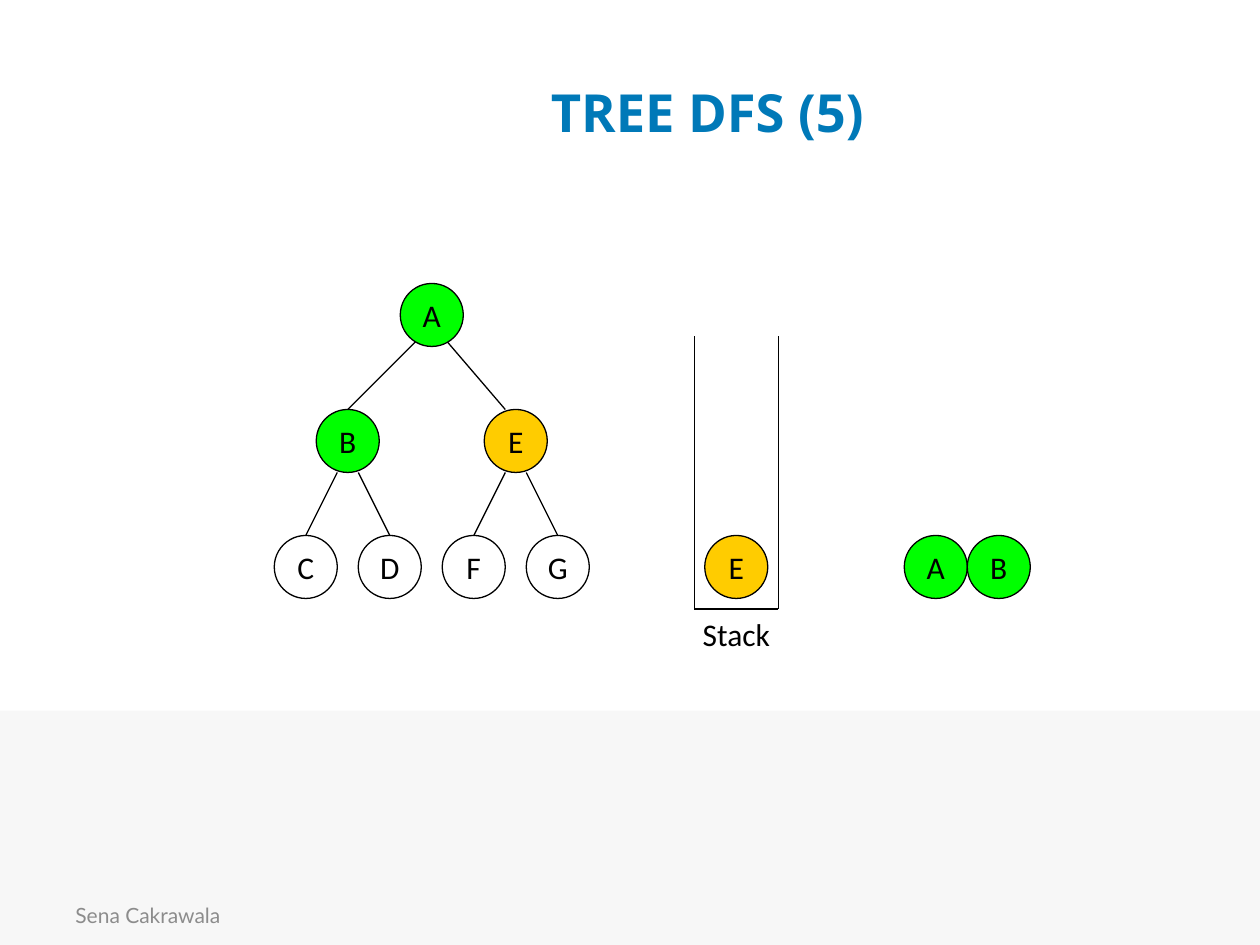
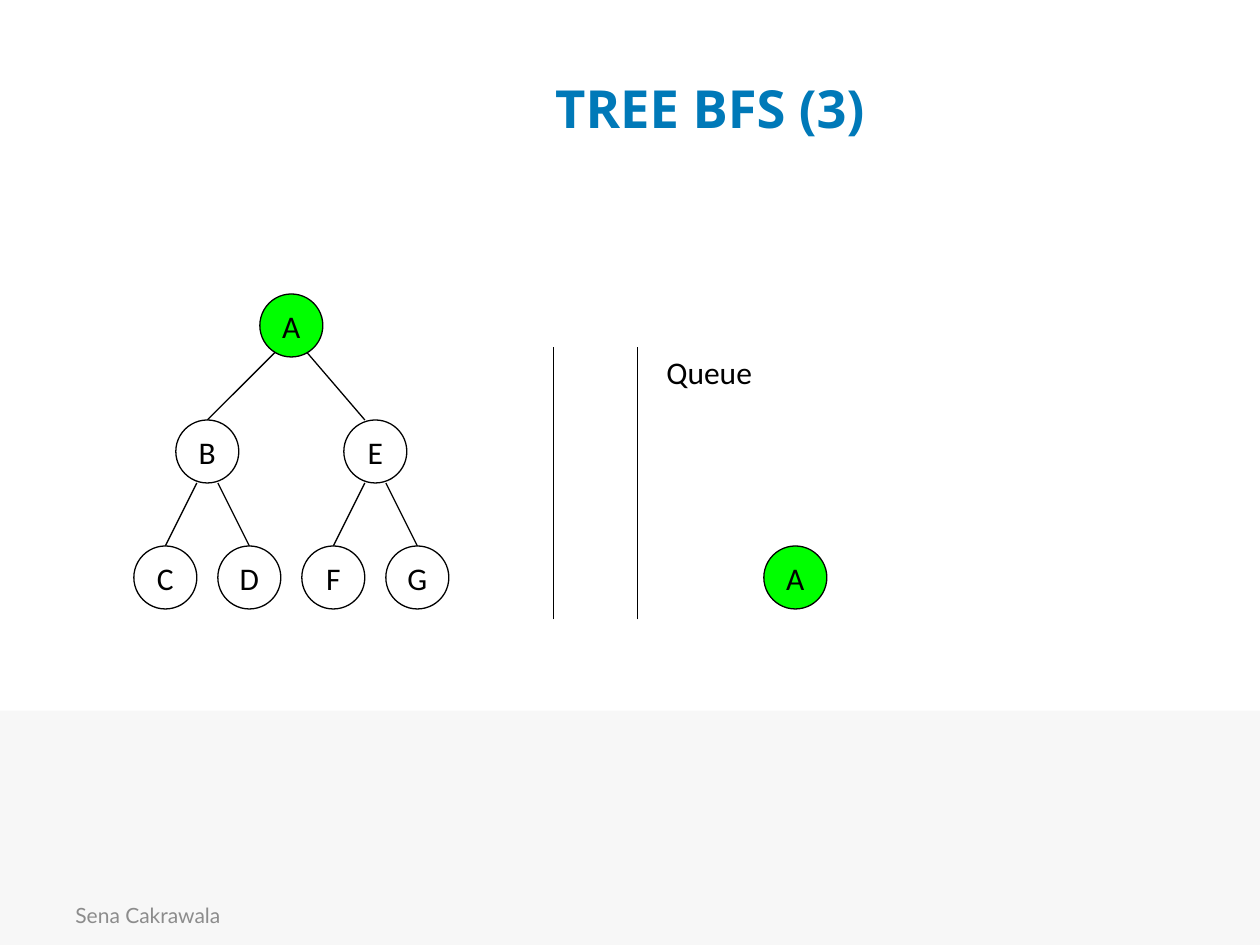
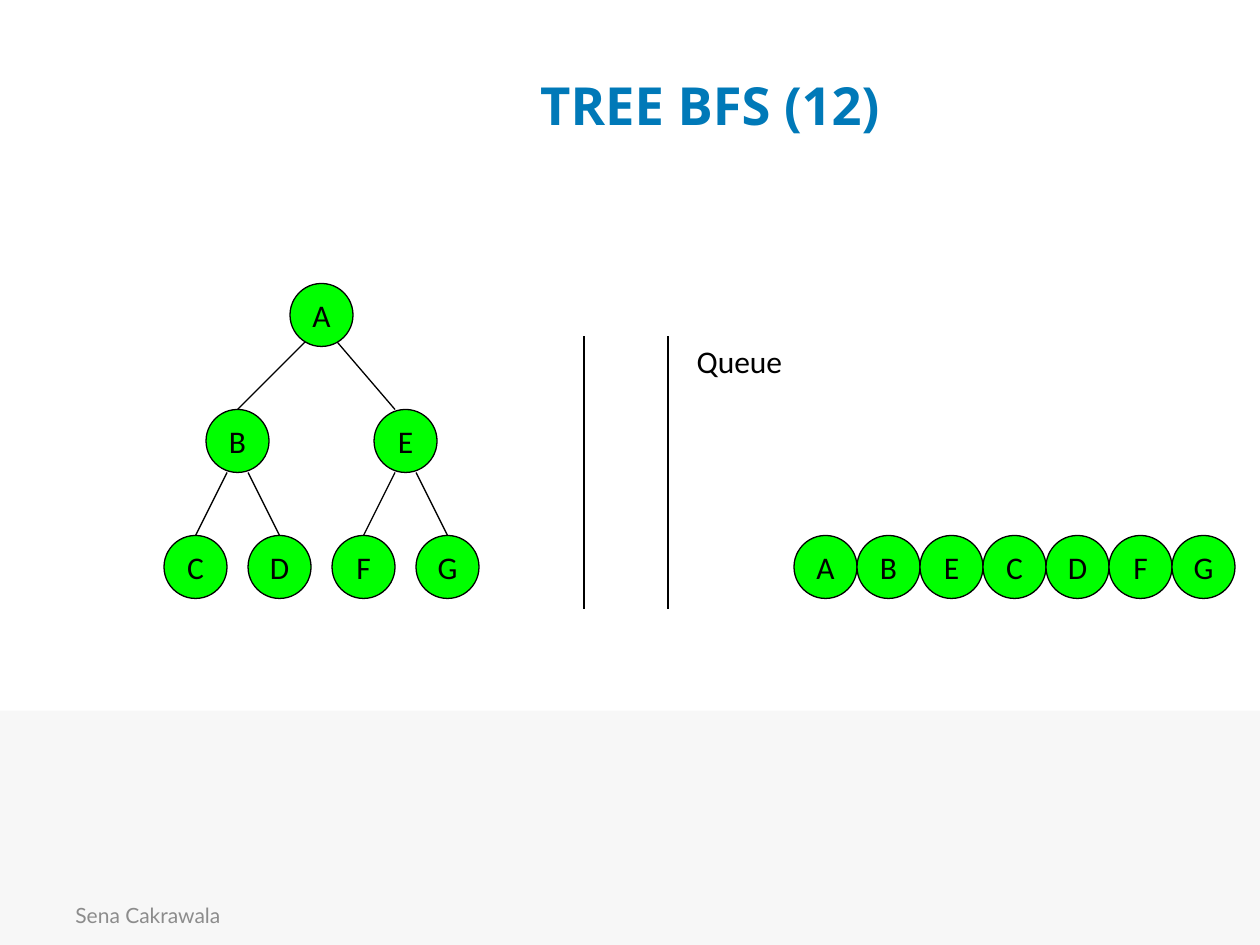
from lxml.etree import SubElement
from pptx import Presentation
from pptx.dml.color import RGBColor
from pptx.enum.shapes import MSO_CONNECTOR, MSO_SHAPE
from pptx.enum.text import MSO_ANCHOR, MSO_AUTO_SIZE, PP_ALIGN
from pptx.oxml.ns import qn
from pptx.util import Pt

COLORS = {
    "title": "0079B8",
    "band": "F7F7F7",
    "footer": "8C8C8C",
    "ink": "000000",
    "visited": "00FF00",
    "waiting": "FFCC00",
    "unvisited": "FFFFFF",
}
FOOTER = "Sena Cakrawala"
NODE = 36
RADIUS = NODE / 2
LEVEL = 72
EDGE_OFFSET = 6
ROOT_OVERLAP = 6

# Column and row of each node, measured from the tree's top left corner
TREE = {
    "A": (72, 0),
    "B": (24, LEVEL),
    "E": (120, LEVEL),
    "C": (0, 2 * LEVEL),
    "D": (48, 2 * LEVEL),
    "F": (96, 2 * LEVEL),
    "G": (144, 2 * LEVEL),
}
CHILDREN = {"A": "BE", "B": "CD", "E": "FG"}

STORE_LEFT, STORE_WIDTH = 240, 48
STORE_TOP, STORE_BOTTOM = 30, 186
OUTPUT_LEFT = 360


def rgb(name):
    return RGBColor.from_string(COLORS[name])


class Deck:
    def __init__(self):
        self.presentation = Presentation()
        self.presentation.slide_width = Pt(720)
        self.presentation.slide_height = Pt(540)
        self.slide = None

    def new_slide(self, title, left, top):
        layout = self.presentation.slide_layouts[5]
        self.slide = self.presentation.slides.add_slide(layout)
        self.shape(MSO_SHAPE.RECTANGLE, 0, 406, 720, 134, "band")
        self.text(FOOTER, 36, 508.5, 168, 28.8, font="Lato", size=12, color="footer",
                  align=PP_ALIGN.LEFT, anchor=MSO_ANCHOR.MIDDLE, wrap=True)
        heading = self.slide.shapes.title
        heading.left, heading.top = Pt(left), Pt(top)
        heading.width, heading.height = Pt(556.5), Pt(90)
        self.set_text(heading, title, font="Open Sans", size=30, color="title",
                      bold=True, wrap=True)

    def set_text(self, shape, text, font="Calibri", size=18, color="ink", bold=False,
                 align=PP_ALIGN.CENTER, anchor=MSO_ANCHOR.MIDDLE, wrap=False):
        frame = shape.text_frame
        frame.text = text
        frame.word_wrap = wrap
        frame.vertical_anchor = anchor
        paragraph = frame.paragraphs[0]
        paragraph.alignment = align
        paragraph.font.name = font
        paragraph.font.size = Pt(size)
        paragraph.font.bold = bold
        paragraph.font.color.rgb = rgb(color)

    def text(self, text, left, top, width, height, **style):
        box = self.slide.shapes.add_textbox(Pt(left), Pt(top), Pt(width), Pt(height))
        self.set_text(box, text, **style)
        return box

    def label(self, text, left, top, width):
        box = self.text(text, left, top, width, 29, anchor=MSO_ANCHOR.TOP)
        box.text_frame.auto_size = MSO_AUTO_SIZE.SHAPE_TO_FIT_TEXT

    def shape(self, kind, left, top, width, height, fill):
        shape = self.slide.shapes.add_shape(kind, Pt(left), Pt(top), Pt(width), Pt(height))
        shape.shadow.inherit = False
        shape.fill.solid()
        shape.fill.fore_color.rgb = rgb(fill)
        shape.line.fill.background()
        return shape

    def node(self, name, left, top, state):
        circle = self.shape(MSO_SHAPE.OVAL, left, top, NODE, NODE, state)
        circle.line.color.rgb = rgb("ink")
        circle.line.width = Pt(0.75)
        self.set_text(circle, name)

    def line(self, x1, y1, x2, y2):
        connector = self.slide.shapes.add_connector(
            MSO_CONNECTOR.STRAIGHT, Pt(x1), Pt(y1), Pt(x2), Pt(y2))
        connector.line.color.rgb = rgb("ink")
        connector.line.width = Pt(0.75)
        SubElement(connector._element.spPr, qn("a:effectLst"))

    def tree(self, left, top, visited, waiting=""):
        """Draw the edges first, so that the circles cover their ends."""
        for parent, children in CHILDREN.items():
            parent_x, parent_y = TREE[parent]
            end_y = top + parent_y + NODE - (ROOT_OVERLAP if parent == "A" else 0)
            for child, side in zip(children, (-EDGE_OFFSET, EDGE_OFFSET)):
                child_x, child_y = TREE[child]
                shift = -EDGE_OFFSET if child == "E" else 0
                self.line(left + child_x + RADIUS + shift, top + child_y,
                          left + parent_x + RADIUS + side, end_y)
        for name, (x, y) in TREE.items():
            state = ("visited" if name in visited
                     else "waiting" if name in waiting else "unvisited")
            self.node(name, left + x, top + y, state)

    def output(self, left, top, names):
        for index, name in enumerate(names):
            self.node(name, left + OUTPUT_LEFT + index * NODE, top + 2 * LEVEL, "visited")

    def walls(self, left, top):
        for x in (STORE_LEFT, STORE_LEFT + STORE_WIDTH):
            self.line(left + x, top + STORE_BOTTOM, left + x, top + STORE_TOP)

    def stack(self, left, top, name):
        store = left + STORE_LEFT
        bottom = top + STORE_BOTTOM
        self.walls(left, top)
        self.line(store, bottom, store + STORE_WIDTH, bottom)
        self.node(name, store + (STORE_WIDTH - NODE) / 2, top + 2 * LEVEL, "waiting")
        self.label("Stack", store - 6, bottom, 60)

    def queue(self, left, top):
        self.walls(left, top)
        self.label("Queue", left + STORE_LEFT + STORE_WIDTH + 6.5, top + STORE_TOP, 68.5)


def main():
    deck = Deck()

    deck.new_slide("TREE DFS (5)", 126, 18.75)
    deck.tree(156.75, 162, visited="AB", waiting="E")
    deck.stack(156.75, 162, "E")
    deck.output(156.75, 162, "AB")

    breadth_first = (
        ("TREE BFS (3)", 16.5, 76.5, 168, "A"),
        ("TREE BFS (12)", 15, 93.75, 162, "ABECDFG"),
    )
    for title, title_top, left, top, visited in breadth_first:
        deck.new_slide(title, 127.5, title_top)
        deck.tree(left, top, visited)
        deck.queue(left, top)
        deck.output(left, top, visited)

    deck.presentation.save("out.pptx")


if __name__ == "__main__":
    main()
